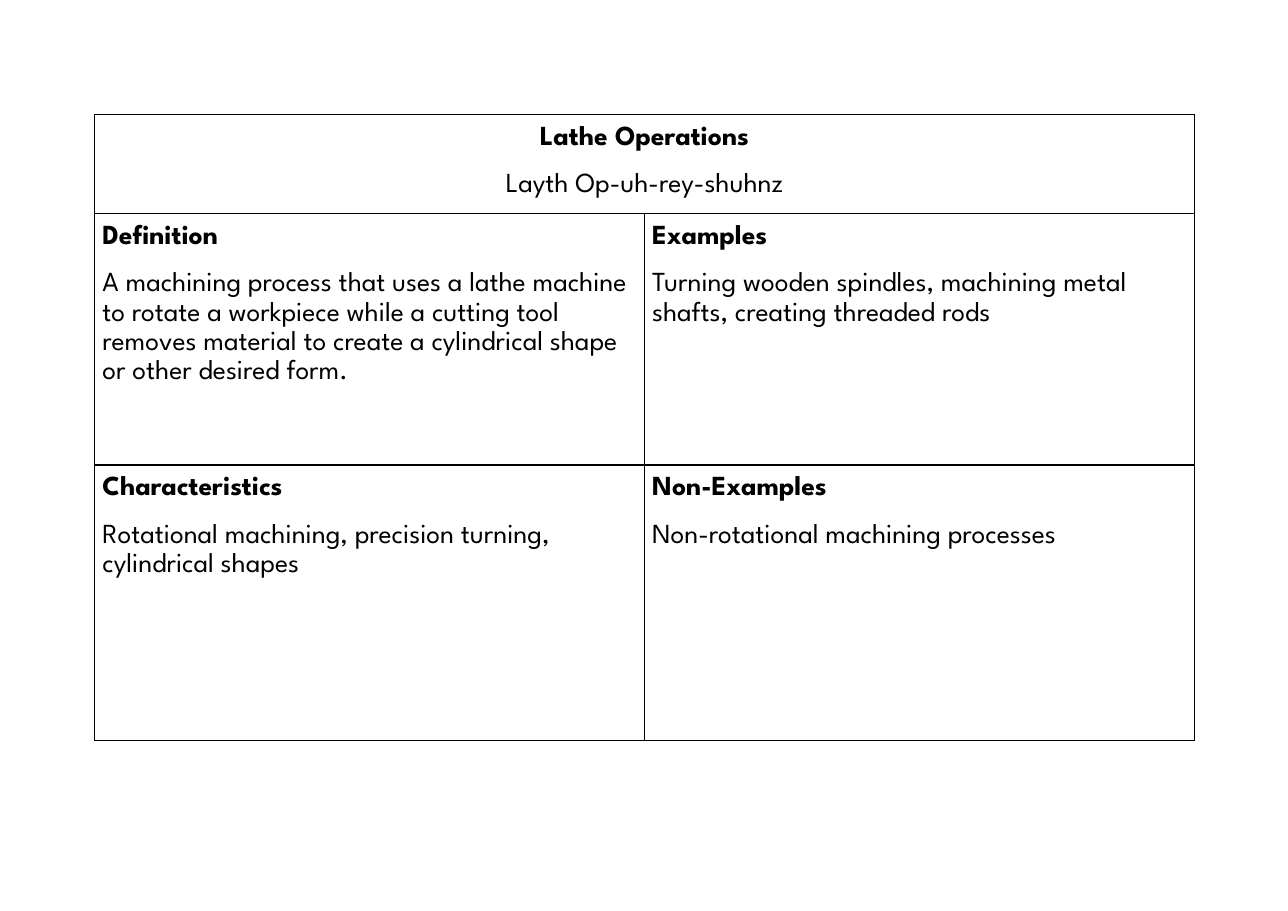
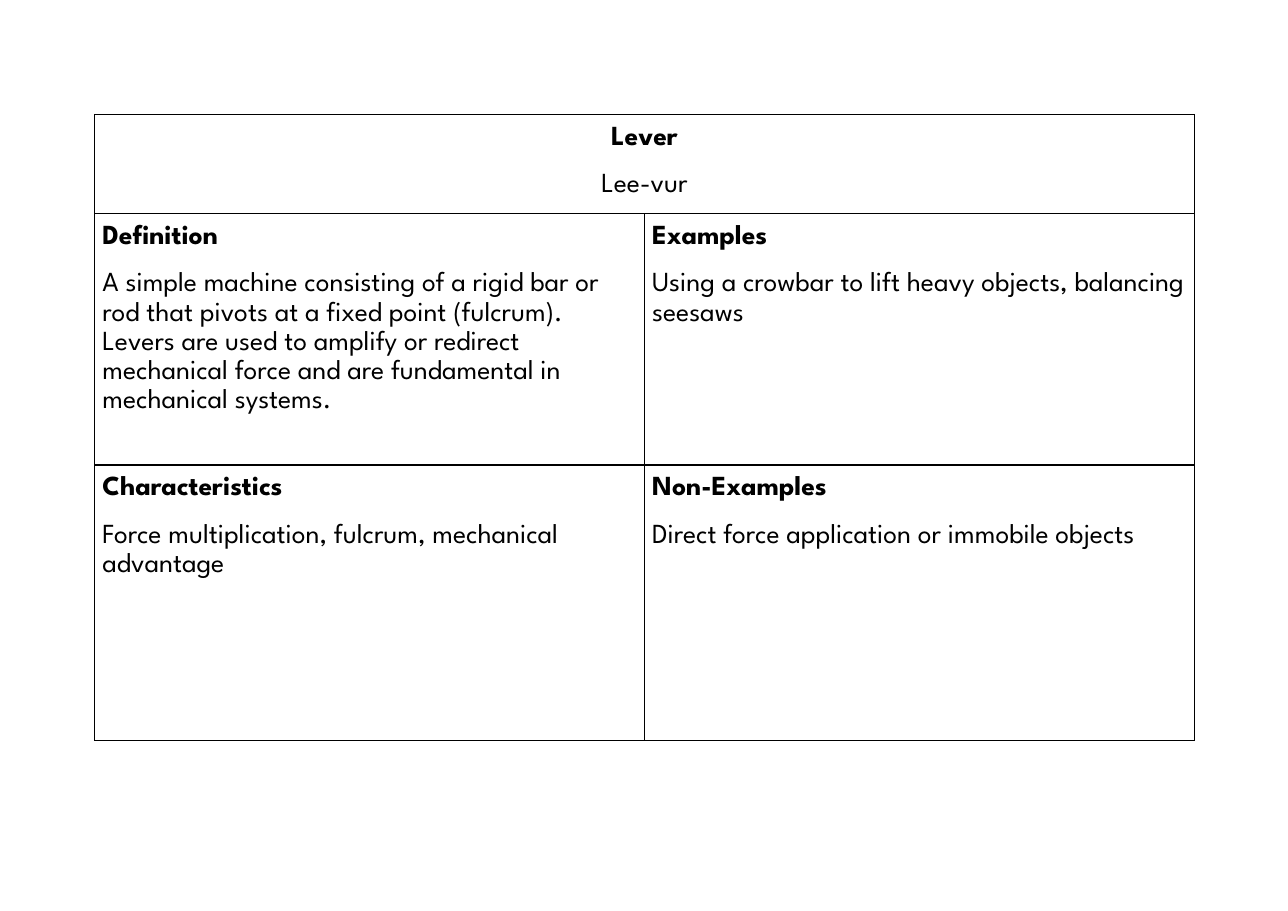
from lxml.etree import SubElement
from pptx import Presentation
from pptx.dml.color import RGBColor
from pptx.enum.text import PP_ALIGN
from pptx.oxml.ns import qn
from pptx.util import Inches, Pt

BLACK = RGBColor(0, 0, 0)
FONT = "League Spartan"
TEXT_SIZE = Pt(18)
LINE_SPACING = 1.15
PARAGRAPH_GAP = Pt(12)
BORDER_WIDTH = Pt(1)
CELL_MARGIN = Inches(0.07)
CARD_BOX = (Inches(0.86), Inches(1.04), Inches(9.98))
ROW_HEIGHTS = (Inches(0.9), Inches(2.28), Inches(2.5))
SECTIONS = (("Definition", "Examples"), ("Characteristics", "Non-Examples"))

CARDS = (
    {
        "term": "Lathe Operations",
        "pronunciation": "Layth Op-uh-rey-shuhnz",
        "Definition": "A machining process that uses a lathe machine to rotate a workpiece "
                      "while a cutting tool removes material to create a cylindrical shape "
                      "or other desired form.",
        "Examples": "Turning wooden spindles, machining metal shafts, creating threaded rods",
        "Characteristics": "Rotational machining, precision turning, cylindrical shapes",
        "Non-Examples": "Non-rotational machining processes",
    },
    {
        "term": "Lever",
        "pronunciation": "Lee-vur",
        "Definition": "A simple machine consisting of a rigid bar or rod that pivots at a "
                      "fixed point (fulcrum). Levers are used to amplify or redirect "
                      "mechanical force and are fundamental in mechanical systems.",
        "Examples": "Using a crowbar to lift heavy objects, balancing seesaws",
        "Characteristics": "Force multiplication, fulcrum, mechanical advantage",
        "Non-Examples": "Direct force application or immobile objects",
    },
)


def style_cell(cell):
    properties = cell._tc.get_or_add_tcPr()
    for side in ("a:lnL", "a:lnR", "a:lnT", "a:lnB"):
        line = SubElement(properties, qn(side), w=str(BORDER_WIDTH))
        fill = SubElement(line, qn("a:solidFill"))
        SubElement(fill, qn("a:srgbClr"), val=str(BLACK))
    cell.fill.background()
    cell.margin_left = cell.margin_right = CELL_MARGIN
    cell.margin_top = cell.margin_bottom = CELL_MARGIN


def write_cell(cell, heading, detail, alignment=PP_ALIGN.LEFT):
    cell.text_frame.text = f"{heading}\n{detail}"
    for index, paragraph in enumerate(cell.text_frame.paragraphs):
        paragraph.alignment = alignment
        paragraph.line_spacing = LINE_SPACING
        paragraph.space_before = PARAGRAPH_GAP if index else Pt(0)
        for run in paragraph.runs:
            run.font.name = FONT
            run.font.size = TEXT_SIZE
            run.font.bold = index == 0
            run.font.color.rgb = BLACK


def add_vocabulary_card(slide, card, left, top, width):
    table = slide.shapes.add_table(
        len(ROW_HEIGHTS), 2, left, top, width, sum(ROW_HEIGHTS)).table
    table.first_row = False
    table.horz_banding = False
    for row, height in zip(table.rows, ROW_HEIGHTS):
        row.height = height
        for cell in row.cells:
            style_cell(cell)
    title_cell = table.cell(0, 0)
    title_cell.merge(table.cell(0, 1))
    write_cell(title_cell, card["term"], card["pronunciation"], PP_ALIGN.CENTER)
    for row_index, headings in enumerate(SECTIONS, start=1):
        for column_index, heading in enumerate(headings):
            write_cell(table.cell(row_index, column_index), heading, card[heading])


def main():
    presentation = Presentation()
    presentation.slide_width = Inches(11.69)
    presentation.slide_height = Inches(8.27)
    blank_layout = presentation.slide_layouts[6]
    for card in CARDS:
        slide = presentation.slides.add_slide(blank_layout)
        add_vocabulary_card(slide, card, *CARD_BOX)
    presentation.save("out.pptx")


if __name__ == "__main__":
    main()
